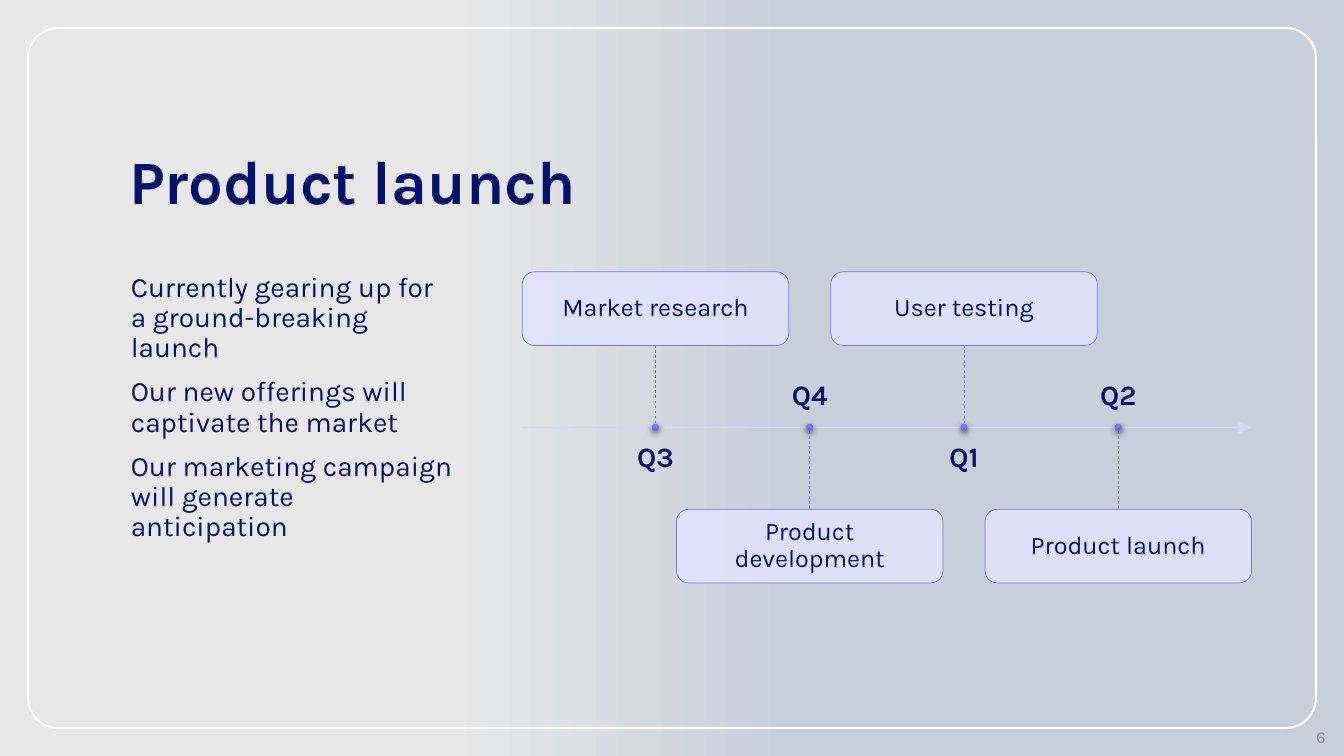
"""Build the product launch timeline slide."""
from lxml import etree
from pptx import Presentation
from pptx.dml.color import RGBColor
from pptx.enum.dml import MSO_LINE
from pptx.enum.shapes import MSO_CONNECTOR, MSO_SHAPE
from pptx.enum.text import MSO_ANCHOR, PP_ALIGN
from pptx.oxml.ns import qn
from pptx.util import Pt

TOP, MIDDLE, BOTTOM = MSO_ANCHOR.TOP, MSO_ANCHOR.MIDDLE, MSO_ANCHOR.BOTTOM
LEFT, CENTER, RIGHT = PP_ALIGN.LEFT, PP_ALIGN.CENTER, PP_ALIGN.RIGHT
ROUNDED, OVAL = MSO_SHAPE.ROUNDED_RECTANGLE, MSO_SHAPE.OVAL
STRAIGHT, DASH = MSO_CONNECTOR.STRAIGHT, MSO_LINE.DASH

TITLE = "Product launch"
POINTS = [
    "Currently gearing up for a ground-breaking launch",
    "Our new offerings will captivate the market",
    "Our marketing campaign will generate anticipation",
]
MILESTONES = [
    ("Q3", "Market research"),
    ("Q4", "Product development"),
    ("Q1", "User testing"),
    ("Q2", "Product launch"),
]
SLIDE_NUMBER = "6"

FONT = "Karla"
NAVY, VIOLET, PALE, AXIS, GRAY = "03126A", "7673F7", "DFE3FC", "D6D5FC", "8C8C8C"
WIDTH, HEIGHT = 960, 540
AXIS_LEFT, AXIS_RIGHT, AXIS_Y = 373, 894, 305.3
BOX_WIDTH, BOX_HEIGHT = 190.4, 52.6
BOX_OFFSET = 58.5
LABEL_WIDTH, LABEL_HEIGHT, LABEL_GAP = 167, 34.6, 11.5
DOT = 4.6
STEP = (AXIS_RIGHT - AXIS_LEFT - BOX_WIDTH) / (len(MILESTONES) - 1)


def color(value):
    return RGBColor.from_string(value)


def add_child(parent, tag, **attributes):
    return etree.SubElement(parent, qn(tag), attributes)


def set_alpha(properties, percent):
    fill_color = properties.find(qn("a:solidFill"))[0]
    add_child(fill_color, "a:alpha", val=str(percent * 1000))


def set_gradient(fill, stops, angle):
    fill.gradient()
    fill.gradient_angle = angle
    for stop, (position, value) in zip(fill.gradient_stops, stops):
        stop.position = position
        stop.color.rgb = color(value)


def write(shape, texts, size, value=NAVY, bold=False, align=LEFT, anchor=TOP,
          margins=(7.2, 3.6), spacing=0.9, gap=0):
    frame = shape.text_frame
    frame.word_wrap = True
    frame.vertical_anchor = anchor
    frame.margin_left = frame.margin_right = Pt(margins[0])
    frame.margin_top = frame.margin_bottom = Pt(margins[1])
    for index, text in enumerate(texts):
        paragraph = frame.add_paragraph() if index else frame.paragraphs[0]
        paragraph.text = text
        paragraph.alignment = align
        paragraph.line_spacing = spacing
        paragraph.space_before = Pt(gap if index else 0)
        font = paragraph.font
        font.name, font.size, font.bold = FONT, Pt(size), bold
        font.color.rgb = color(value)


def add_text(slide, left, top, width, height, texts, size, **style):
    box = slide.shapes.add_textbox(Pt(left), Pt(top), Pt(width), Pt(height))
    write(box, texts, size, **style)


def add_shape(slide, kind, left, top, width, height, line, weight):
    shape = slide.shapes.add_shape(kind, Pt(left), Pt(top), Pt(width), Pt(height))
    shape.shadow.inherit = False
    shape.line.color.rgb = color(line)
    shape.line.width = Pt(weight)
    return shape


def add_line(slide, x1, y1, x2, y2, value):
    line = slide.shapes.add_connector(STRAIGHT, Pt(x1), Pt(y1), Pt(x2), Pt(y2))
    line.line.color.rgb = color(value)
    line.line.width = Pt(0.5)
    add_child(line._element.spPr, "a:effectLst")
    return line


def add_dot(slide, x):
    dot = add_shape(slide, OVAL, x - DOT / 2, AXIS_Y - DOT / 2, DOT, DOT, VIOLET, 0.5)
    set_gradient(dot.fill, [(0, "8886FA"), (1, "605DE5")], 270)
    effects = dot._element.spPr.find(qn("a:effectLst"))
    shadow = add_child(effects, "a:outerShdw", blurRad=str(Pt(4.5)), dist=str(Pt(1.5)),
                       dir="5400000", algn="ctr", rotWithShape="0")
    shadow_color = add_child(shadow, "a:srgbClr", val="000000")
    add_child(shadow_color, "a:alpha", val="63000")


def add_milestone(slide, index, quarter, name):
    x = AXIS_LEFT + BOX_WIDTH / 2 + index * STEP
    above = index % 2 == 0
    if above:
        edge = AXIS_Y - BOX_OFFSET
        box_top = edge - BOX_HEIGHT
        label_top, anchor = AXIS_Y + LABEL_GAP, TOP
    else:
        edge = box_top = AXIS_Y + BOX_OFFSET
        label_top, anchor = AXIS_Y - LABEL_GAP - LABEL_HEIGHT, BOTTOM
    add_text(slide, x - LABEL_WIDTH / 2, label_top, LABEL_WIDTH, LABEL_HEIGHT, [quarter],
             20, bold=True, align=CENTER, anchor=anchor, margins=(0, 0))
    box = add_shape(slide, ROUNDED, x - BOX_WIDTH / 2, box_top, BOX_WIDTH, BOX_HEIGHT,
                    VIOLET, 0.5)
    box.fill.solid()
    box.fill.fore_color.rgb = color(PALE)
    set_alpha(box._element.spPr, 90)
    write(box, [name], 18, align=CENTER, anchor=MIDDLE, margins=(14, 2))
    add_line(slide, x, edge, x, AXIS_Y, VIOLET).line.dash_style = DASH
    add_dot(slide, x)


def main():
    presentation = Presentation()
    presentation.slide_width, presentation.slide_height = Pt(WIDTH), Pt(HEIGHT)
    slide = presentation.slides.add_slide(presentation.slide_layouts[5])
    set_gradient(slide.background.fill, [(0.33, "E8E8E8"), (0.59, "C7CFDB")], 0)

    frame = add_shape(slide, ROUNDED, 20, 20, 920, 500, "FFFFFF", 1.5)
    frame.adjustments[0] = 0.043
    frame.fill.background()

    title = slide.shapes.title
    title.left, title.top, title.width, title.height = Pt(85), Pt(29), Pt(827), Pt(130)
    write(title, [TITLE], 44, bold=True, anchor=BOTTOM)
    add_text(slide, 86.4, 191.5, 244.8, 268.5, POINTS, 20, gap=10)

    axis = add_line(slide, AXIS_LEFT, AXIS_Y, AXIS_RIGHT, AXIS_Y, AXIS)
    outline = axis._element.spPr.find(qn("a:ln"))
    set_alpha(outline, 90)
    add_child(outline, "a:tailEnd", type="triangle", w="lg", len="lg")
    for index, (quarter, name) in enumerate(MILESTONES):
        add_milestone(slide, index, quarter, name)

    add_text(slide, 738, 517, 216, 18, [SLIDE_NUMBER], 12, value=GRAY, align=RIGHT,
             anchor=MIDDLE, spacing=1.0)
    presentation.save("out.pptx")


if __name__ == "__main__":
    main()
